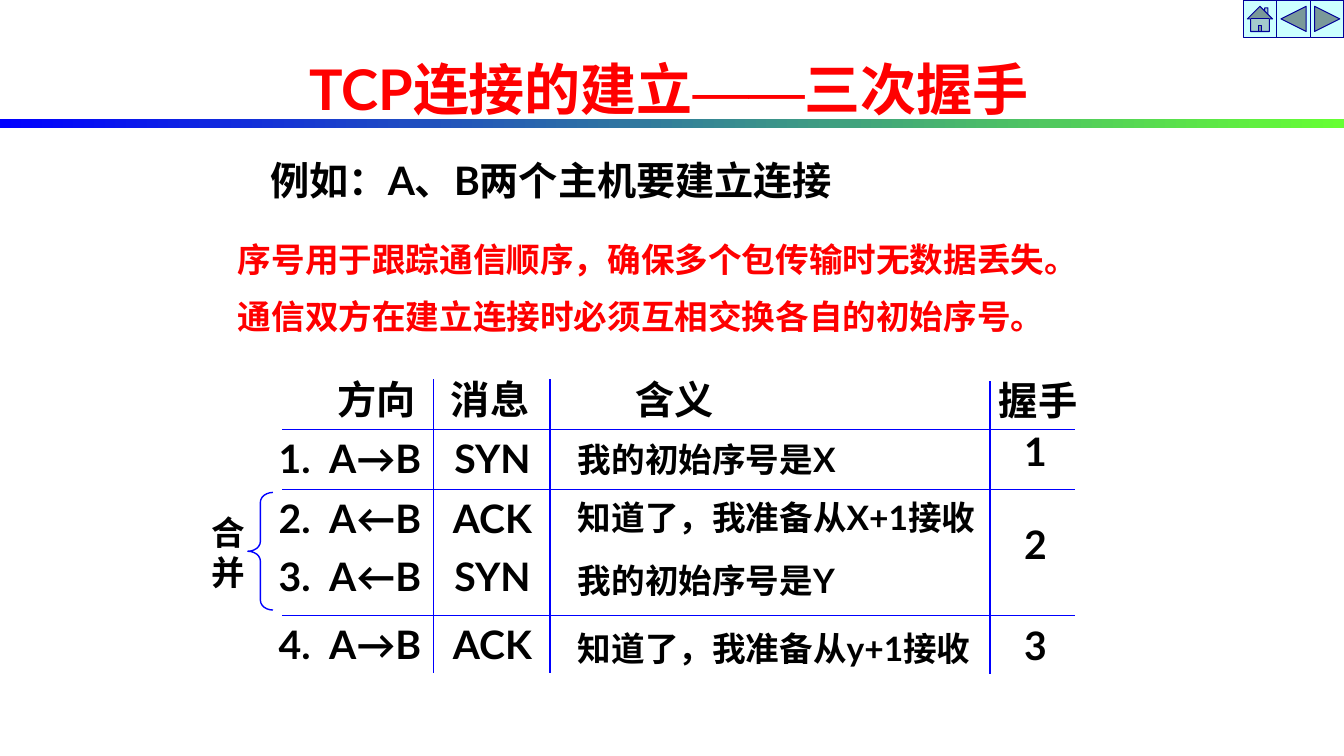
from lxml.etree import SubElement
from pptx import Presentation
from pptx.dml.color import RGBColor
from pptx.enum.lang import MSO_LANGUAGE_ID
from pptx.enum.shapes import MSO_CONNECTOR, MSO_SHAPE
from pptx.enum.text import MSO_ANCHOR, MSO_AUTO_SIZE, PP_ALIGN
from pptx.oxml.ns import qn
from pptx.util import Pt

PX = 9525
COLORS = {
    "red": "FF0000",
    "black": "000000",
    "blue": "0000FF",
    "green": "66FF33",
    "navy": "000099",
    "pale": "CCFFFF",
}
BUTTONS = [
    MSO_SHAPE.ACTION_BUTTON_HOME,
    MSO_SHAPE.ACTION_BUTTON_BACK_OR_PREVIOUS,
    MSO_SHAPE.ACTION_BUTTON_FORWARD_OR_NEXT,
]
HEADERS = [("方向", 312, 353), ("消息", 420, 353), ("含义", 596, 353), ("握手", 942, 354)]
MESSAGES = [
    (409, "A→B", "SYN", "我的初始序号是X", 413),
    (466, "A←B", "ACK", "知道了，我准备从X+1接收", 469),
    (521, "A←B", "SYN", "我的初始序号是Y", 529),
    (586, "A→B", "ACK", "知道了，我准备从y+1接收", 593),
]
HANDSHAKE_TOPS = [402, 491, 587]
ROW_RULES = [409, 466, 586]
COLUMN_RULES = [(413, 361, 641), (524, 361, 641), (943, 363, 642)]


class SlideBuilder:
    """Draws styled elements on the current slide, measured in px."""

    def __init__(self, deck):
        self.page = deck.slides.add_slide(deck.slide_layouts[1])
        self.font = "Lato"

    def color(self, name):
        return RGBColor.from_string(COLORS[name])

    def emu(self, *lengths):
        return [length * PX for length in lengths]

    def fill_text(self, box, paragraphs, size, color="black", align=PP_ALIGN.LEFT):
        frame = box.text_frame
        frame.word_wrap = True
        frame.auto_size = MSO_AUTO_SIZE.SHAPE_TO_FIT_TEXT
        frame.vertical_anchor = MSO_ANCHOR.TOP
        for index, runs in enumerate(paragraphs):
            para = frame.add_paragraph() if index else frame.paragraphs[0]
            para.alignment = align
            para.space_before = Pt(size / 2 if index else 0)
            properties = para._p.get_or_add_pPr()
            properties.set("marL", "0")
            properties.set("indent", "0")
            SubElement(properties, qn("a:buNone"))
            for text, font in runs:
                span = para.add_run()
                span.text = text
                span.font.size = Pt(size)
                span.font.bold = True
                span.font.name = font
                span.font.language_id = MSO_LANGUAGE_ID.SIMPLIFIED_CHINESE
                span.font.color.rgb = self.color(color)
                SubElement(span._r.rPr, qn("a:ea")).set("typeface", font)

    def placeholder(self, index, area, paragraphs, size, color, align=PP_ALIGN.LEFT):
        box = self.page.placeholders[index]
        box.left, box.top, box.width, box.height = self.emu(*area)
        self.fill_text(box, paragraphs, size, color, align)

    def text(self, area, text, size=28, align=PP_ALIGN.LEFT):
        box = self.page.shapes.add_textbox(*self.emu(*area))
        self.fill_text(box, [[(text, self.font)]], size, align=align)

    def shape(self, kind, area, fill=None, line=None, width=1):
        shape = self.page.shapes.add_shape(kind, *self.emu(*area))
        shape.shadow.inherit = False
        if fill:
            shape.fill.solid()
            shape.fill.fore_color.rgb = self.color(fill)
        else:
            shape.fill.background()
        if line:
            shape.line.color.rgb = self.color(line)
            shape.line.width = Pt(width)
        else:
            shape.line.fill.background()
        return shape

    def gradient_bar(self, area, start, end):
        bar = self.shape(MSO_SHAPE.RECTANGLE, area)
        bar.fill.gradient()
        bar.fill.gradient_angle = 0
        for position, (stop, name) in enumerate(zip(bar.fill.gradient_stops, (start, end))):
            stop.position = position
            stop.color.rgb = self.color(name)

    def rule(self, *ends):
        line = self.page.shapes.add_connector(MSO_CONNECTOR.STRAIGHT, *self.emu(*ends))
        line.line.color.rgb = self.color("blue")
        line.line.width = Pt(1)
        SubElement(line._element.spPr, qn("a:effectLst"))


def main():
    deck = Presentation()
    deck.slide_width, deck.slide_height = 1280 * PX, 720 * PX
    slide = SlideBuilder(deck)
    font = slide.font

    for index, kind in enumerate(BUTTONS):
        slide.shape(kind, (1184 + 32 * index, 0, 32, 36), "pale", "navy", 0.75)
    slide.gradient_bar((0, 113, 1280, 9), "blue", "green")

    title = [("TCP连接的建立", font), ("——", "Times New Roman"), ("三次握手", font)]
    slide.placeholder(0, (241, 47, 792, 74), [title], 40, "red", PP_ALIGN.CENTER)
    slide.text((248, 144, 832, 55), "例如：A、B两个主机要建立连接")
    points = [
        [("序号用于跟踪通信顺序，确保多个包传输时无数据丢失。", font)],
        [("通信双方在建立连接时必须互相交换各自的初始序号。", font)],
    ]
    slide.placeholder(1, (217, 223, 864, 107), points, 24, "red")

    for top in ROW_RULES:
        slide.rule(269, top, 1024, top)
    for left, top, bottom in COLUMN_RULES:
        slide.rule(left, top, left, bottom)

    for header, left, top in HEADERS:
        slide.text((left, top, 96, 55), header)
    for number, (top, direction, message, meaning, meaning_top) in enumerate(MESSAGES, 1):
        slide.text((256, top, 56, 55), f"{number}.")
        slide.text((304, top, 112, 55), direction)
        slide.text((413, top, 112, 55), message, align=PP_ALIGN.CENTER)
        slide.text((541, meaning_top, 440, 48), meaning, 24)
    for number, top in enumerate(HANDSHAKE_TOPS, 1):
        slide.text((966, top, 56, 55), str(number))

    brace = slide.shape(MSO_SHAPE.LEFT_BRACE, (236, 469, 24, 112), line="blue")
    brace.adjustments[0] = 0.39
    slide.text((192, 483, 56, 87), "合并", 24)

    deck.save("out.pptx")


if __name__ == "__main__":
    main()
